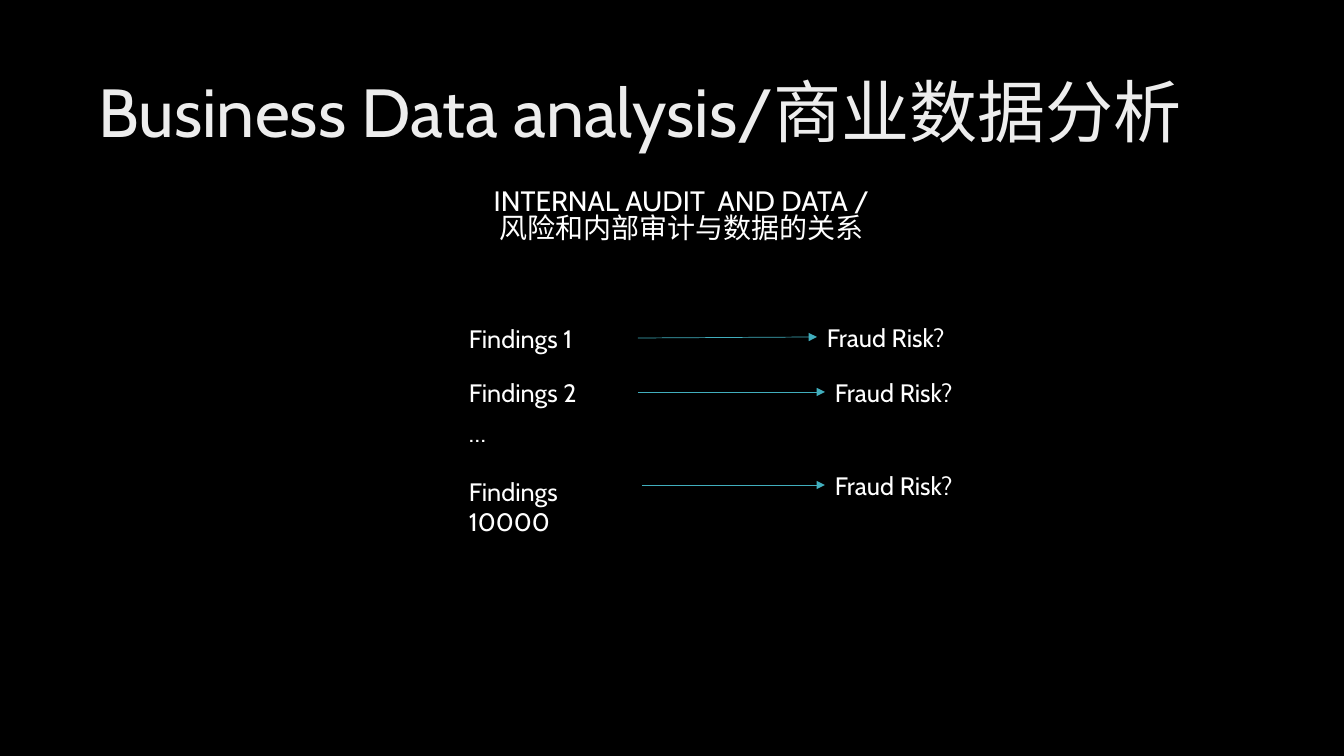
"""Build a slide that links audit findings to fraud risks."""
import lxml.etree
import pptx
import pptx.dml.color
import pptx.enum.shapes
import pptx.enum.text
import pptx.oxml.ns
import pptx.util

PX = pptx.util.Inches(1) / 100.8
ANCHOR = pptx.enum.text.MSO_ANCHOR
ALIGN = pptx.enum.text.PP_ALIGN
SILVER = [(0, "BFBFBF"), (28, "EDEDED"), (100, "FFFFFF")]


def px(length):
    return pptx.util.Emu(round(length * PX))


def colour(value):
    return pptx.dml.color.RGBColor.from_string(value)


def assign(target, values):
    for name, value in values.items():
        setattr(target, name, value)


def child(parent, tag, **attributes):
    return lxml.etree.SubElement(parent, pptx.oxml.ns.qn(tag), attributes)


def add_text(page, place, lines, size, frame_format={}, para_format={}):
    box = page.shapes.add_textbox(*map(px, place))
    frame = box.text_frame
    assign(frame, {"word_wrap": True, **frame_format})
    frame.text = "\n".join(lines)
    for para in frame.paragraphs:
        assign(para, para_format)
        for span in para.runs:
            assign(span.font, {"size": pptx.util.Pt(size), "name": "Cabin"})
            span.font.color.rgb = colour("FFFFFF")
    return box


def shade_text(box, stops, angle):
    for para in box.text_frame.paragraphs:
        for span in para.runs:
            span.font.fill.background()
            properties = span.font._element if hasattr(span.font, "_element") else span._r.get_or_add_rPr()
            properties.remove(properties.find(pptx.oxml.ns.qn("a:noFill")))
            gradient = child(properties, "a:gradFill")
            properties.insert(0, gradient)
            stop_list = child(gradient, "a:gsLst")
            for position, value in stops:
                stop = child(stop_list, "a:gs", pos=str(position * 1000))
                child(stop, "a:srgbClr", val=value)
            child(gradient, "a:lin", ang=str(angle * 60000), scaled="0")


def add_label(page, left, top, text):
    return add_text(page, (left, top, 179, 40), [text], 18)


def add_arrow(page, start, risk, finding=None):
    end = (risk.left, risk.top + risk.height // 2)
    arrow = page.shapes.add_connector(
        pptx.enum.shapes.MSO_CONNECTOR.STRAIGHT, *map(px, start), *end)
    if finding is not None:
        arrow.begin_connect(finding, 3)
    arrow.end_connect(risk, 1)
    arrow.line.width = pptx.util.Pt(0.5)
    arrow.line.color.rgb = colour("41AEBD")
    child(arrow.line._get_or_add_ln(), "a:tailEnd", type="triangle")
    child(arrow._element.spPr, "a:effectLst")


def main():
    deck = pptx.Presentation()
    assign(deck, {"slide_width": px(1344), "slide_height": px(756)})
    page = deck.slides.add_slide(deck.slide_layouts[6])
    page.background.fill.solid()
    page.background.fill.fore_color.rgb = colour("000000")

    middle = {"vertical_anchor": ANCHOR.MIDDLE}
    title = add_text(
        page, (59, 66, 1162, 98), ["Business Data analysis/商业数据分析"], 48.6,
        middle, {"alignment": ALIGN.CENTER, "line_spacing": 0.9})
    shade_text(title, SILVER, 80)
    add_text(
        page, (123, 180, 1117, 65),
        ["INTERNAL AUDIT  AND DATA /", "风险和内部审计与数据的关系"], 20,
        {**middle, "margin_top": px(13)},
        {"alignment": ALIGN.CENTER, "line_spacing": 0.8})

    add_label(page, 459, 412, "…")
    rows = [
        ("Findings 1", 318, 817, 317, True),
        ("Findings 2", 372, 825, 372, True),
        ("Findings 10000", 471, 825, 465, False),
    ]
    for text, top, risk_left, risk_top, joined in rows:
        finding = add_label(page, 459, top, text)
        risk = add_label(page, risk_left, risk_top, "Fraud Risk?")
        add_arrow(page, (642, risk_top + 20), risk, finding if joined else None)

    deck.save("out.pptx")


if __name__ == "__main__":
    main()
